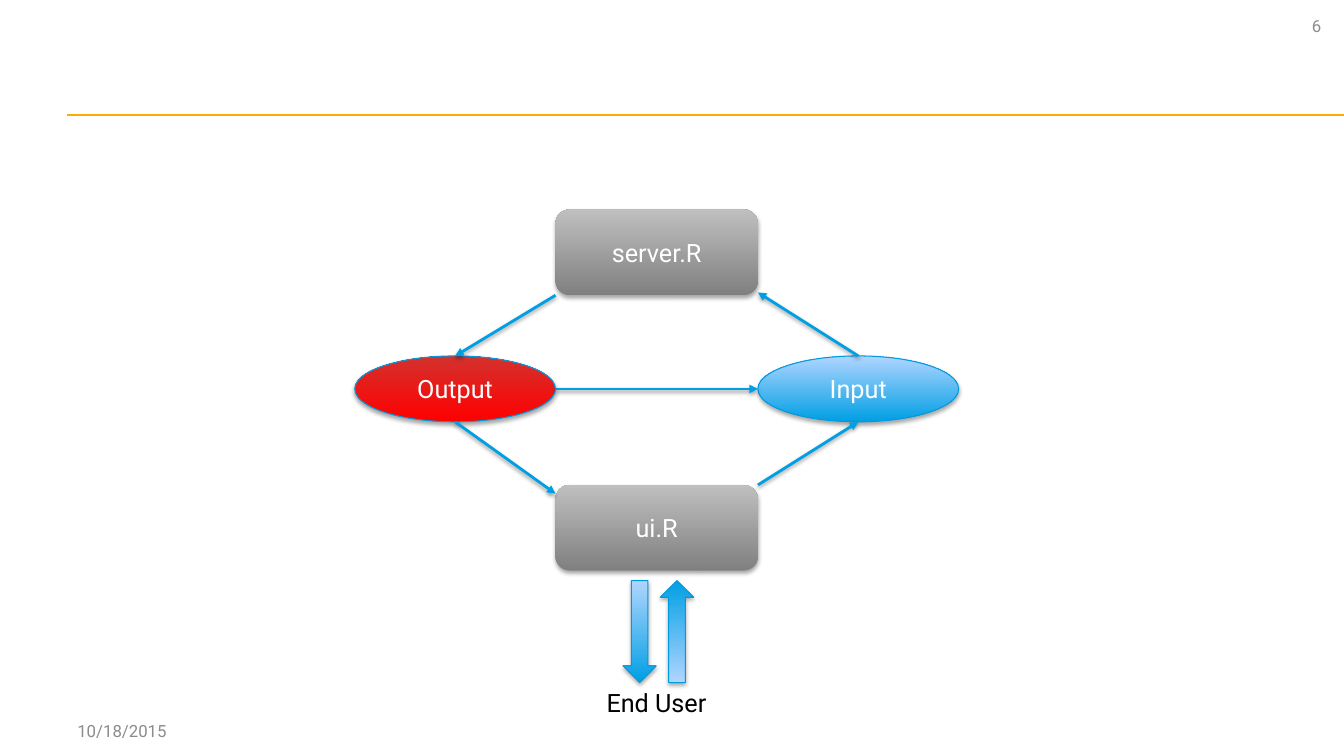
from lxml.etree import SubElement
from pptx import Presentation
from pptx.dml.color import RGBColor
from pptx.enum.shapes import MSO_CONNECTOR, MSO_SHAPE
from pptx.enum.text import MSO_ANCHOR, PP_ALIGN
from pptx.oxml.ns import qn
from pptx.util import Cm, Pt

THEME = {
    "font": "Roboto", "body": 18, "small": 12,
    "white": "FFFFFF", "black": "000000", "muted": "8C8C8C",
    "rule": "FFAA00", "arrow": "009FE4", "outline": "009BDF",
    "blue": ("009FE4", "B0D5FF"), "red": ("FF0000", "D3312D"), "grey": ("808080", "BFBFBF"),
    "rule_width": 2, "outline_width": 0.75,
    "shape_shadow": (35, 1.8), "arrow_shadow": (38, 1.6), "shadow_blur": 3.1,
}

SLIDE_SIZE = (33.87, 19.05)
CENTRE, SPREAD = 16.55, 5.08
FILE_SIZE, FLOW_SIZE, USER_ARROW_SIZE = (5.1, 2.16), (5.06, 1.66), (0.84, 2.57)
SERVER_TOP, FLOW_TOP, UI_TOP, USER_ARROW_TOP = 5.28, 8.97, 12.22, 14.63

# name: (kind, centre x, top, size, gradient, outline)
NODES = {
    "Input": (MSO_SHAPE.OVAL, CENTRE + SPREAD, FLOW_TOP, FLOW_SIZE, "blue", True),
    "Output": (MSO_SHAPE.OVAL, CENTRE - SPREAD, FLOW_TOP, FLOW_SIZE, "red", True),
    "ui.R": (MSO_SHAPE.ROUNDED_RECTANGLE, CENTRE, UI_TOP, FILE_SIZE, "grey", False),
    "server.R": (MSO_SHAPE.ROUNDED_RECTANGLE, CENTRE, SERVER_TOP, FILE_SIZE, "grey", False),
}
# (from node, side x, side y, nudge y), (to node, ...); sides run from -1 to 1
FLOWS = [
    (("Input", 0, -1, 0), ("server.R", 1, 1, -0.07)),
    (("Output", 1, 0, 0), ("Input", -1, 0, 0)),
    (("Output", 0, 1, 0), ("ui.R", -1, -1, 0.22)),
    (("server.R", -1, 1, 0), ("Output", 0, -1, 0)),
    (("ui.R", 1, -1, 0), ("Input", 0, 1, 0)),
]
# (centre x, rotation)
USER_ARROWS = [(16.12, 0), (17.06, 180)]
# (text, left, top, width, height, size, colour, format)
LABELS = [
    ("10/18/2015", 1.7, 18.14, 7.9, 0.76, "small", "muted", {"line_spacing": 0.8}),
    ("6", 25.65, 0.13, 7.9, 1.02, "small", "muted", {"alignment": PP_ALIGN.RIGHT}),
    ("End User", 14.12, 17.2, 4.85, 1.02, "body", "black", {"alignment": PP_ALIGN.CENTER}),
]


def apply(target, formats):
    for name, value in formats.items():
        setattr(target, name, value)


def write(shape, text, size, colour, formats, anchor):
    apply(shape.text_frame, {"word_wrap": True, "vertical_anchor": anchor})
    para = shape.text_frame.paragraphs[0]
    apply(para, formats)
    span = para.add_run()
    span.text = text
    apply(span.font, {"name": THEME["font"], "size": Pt(THEME[size])})
    span.font.color.rgb = RGBColor.from_string(THEME[colour])


def set_shadow(shape, opacity=None, distance=0):
    """Replace the theme's effects by a downward shadow, or by none."""
    effects = SubElement(shape._element.spPr, qn("a:effectLst"))
    if opacity is None:
        return
    shadow = SubElement(effects, qn("a:outerShdw"), {
        "blurRad": str(Pt(THEME["shadow_blur"])), "dist": str(Pt(distance)),
        "dir": "5400000", "rotWithShape": "0"})
    colour = SubElement(shadow, qn("a:srgbClr"), val=THEME["black"])
    SubElement(colour, qn("a:alpha"), val=str(opacity * 1000))


def add_solid(page, kind, centre, top, size, gradient, outlined=True):
    width, height = size
    shape = page.shapes.add_shape(kind, Cm(centre - width / 2), Cm(top), Cm(width), Cm(height))
    shape.fill.gradient()
    shape.fill.gradient_angle = 90
    for stop, colour in zip(shape.fill.gradient_stops, THEME[gradient]):
        stop.color.rgb = RGBColor.from_string(colour)
    if outlined:
        shape.line.color.rgb = RGBColor.from_string(THEME["outline"])
        shape.line.width = Pt(THEME["outline_width"])
    else:
        shape.line.fill.background()
    set_shadow(shape, *THEME["shape_shadow"])
    return shape


def add_line(page, start, end, colour):
    line = page.shapes.add_connector(MSO_CONNECTOR.STRAIGHT, *map(Cm, start + end))
    line.line.color.rgb = RGBColor.from_string(THEME[colour])
    line.line.width = Pt(THEME["rule_width"])
    return line


def anchor_point(name, side_x, side_y, nudge):
    _, centre, top, (width, height), _, _ = NODES[name]
    return centre + side_x * width / 2, top + (1 + side_y) * height / 2 + nudge


def main():
    deck = Presentation()
    deck.slide_width, deck.slide_height = map(Cm, SLIDE_SIZE)
    page = deck.slides.add_slide(deck.slide_layouts[6])

    set_shadow(add_line(page, (1.7, 2.9), (SLIDE_SIZE[0], 2.9), "rule"))
    for name, node in NODES.items():
        write(add_solid(page, *node), name, "body", "white",
              {"alignment": PP_ALIGN.CENTER}, MSO_ANCHOR.MIDDLE)
    for start, end in FLOWS:
        arrow = add_line(page, anchor_point(*start), anchor_point(*end), "arrow")
        SubElement(arrow.line._get_or_add_ln(), qn("a:tailEnd"), type="triangle")
        set_shadow(arrow, *THEME["arrow_shadow"])
    for centre, rotation in USER_ARROWS:
        arrow = add_solid(page, MSO_SHAPE.DOWN_ARROW, centre, USER_ARROW_TOP,
                          USER_ARROW_SIZE, "blue")
        arrow.rotation = rotation
    for text, left, top, width, height, size, colour, formats in LABELS:
        box = page.shapes.add_textbox(*map(Cm, (left, top, width, height)))
        anchor = MSO_ANCHOR.MIDDLE if text == "6" else MSO_ANCHOR.TOP
        write(box, text, size, colour, formats, anchor)

    deck.save("out.pptx")


if __name__ == "__main__":
    main()
